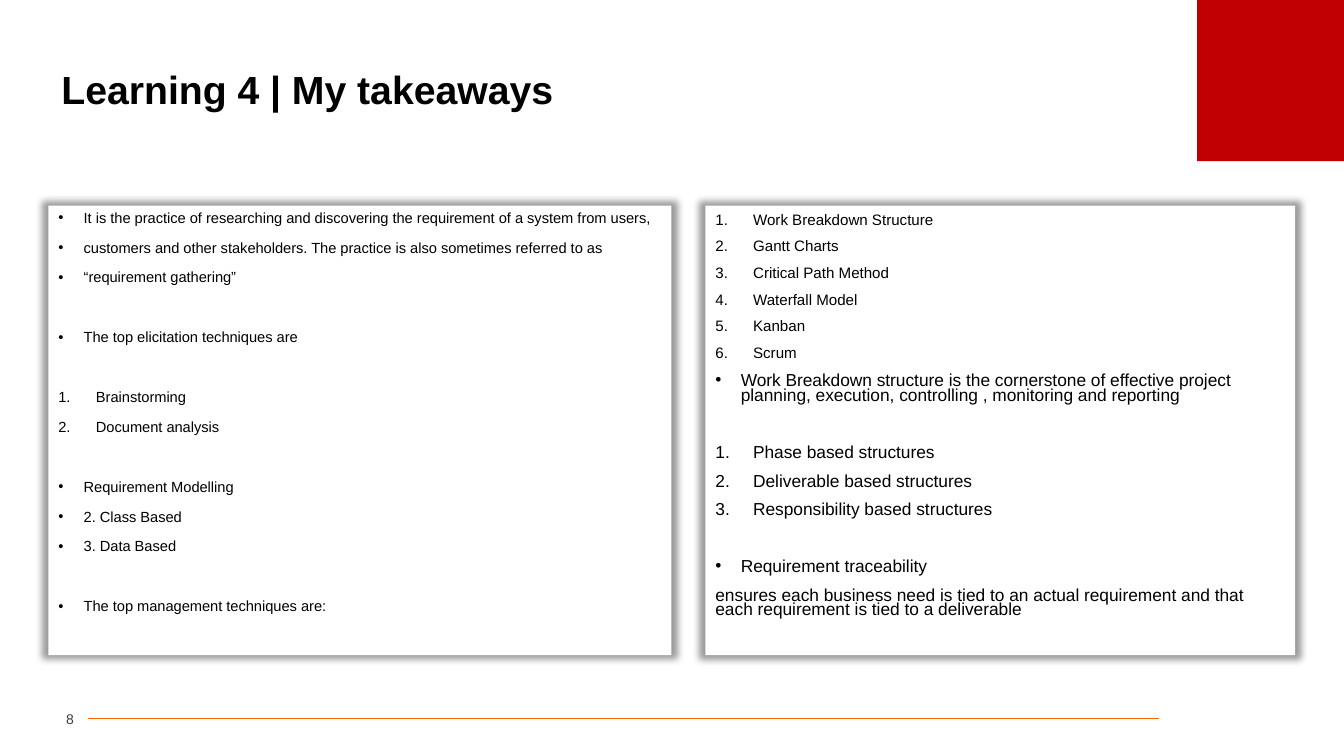
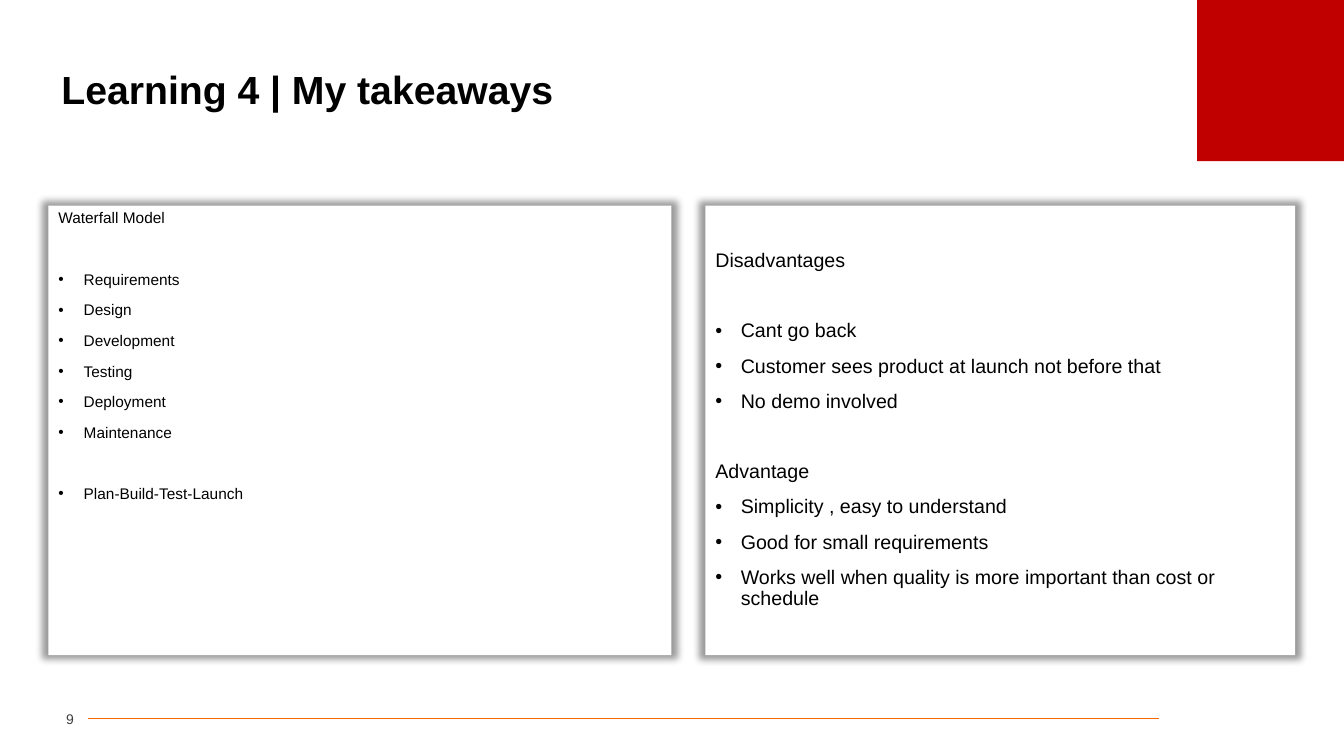
from lxml.etree import SubElement
from pptx import Presentation
from pptx.dml.color import RGBColor as Rgb
from pptx.enum.shapes import MSO_CONNECTOR as Link, MSO_SHAPE as Shape
from pptx.enum.text import MSO_ANCHOR as Anchor, PP_ALIGN as Align
from pptx.oxml.ns import qn
from pptx.util import Cm, Pt

COLORS = {"text": "000000", "page": "404040", "panel": "FFFFFF",
          "square": "C00000", "rule": "FF6600", "shadow": "000000"}
FONT = "Arial"
TITLE = "Learning 4 | My takeaways"
SPACE = 10  # points before each paragraph
LEAD = 1.2  # line height relative to font size
INDENTS = {"dot": 0.64, "num": 0.95}
LEFT, RIGHT = (1.22, 15.7), (17.78, 14.86)  # panel left and width

# Each block: kind of list, font size, gap above, lines
ELICIT = [
    ("dot", 10.5, False, [
        "It is the practice of researching and discovering the requirement of a system from users,",
        "customers and other stakeholders. The practice is also sometimes referred to as",
        "“requirement gathering”"]),
    ("dot", 10.5, True, ["The top elicitation techniques are"]),
    ("num", 10.5, True, ["Brainstorming", "Document analysis"]),
    ("dot", 10.5, True, ["Requirement Modelling", "2. Class Based", "3. Data Based"]),
    ("dot", 10.5, True, ["The top management techniques are:"]),
]
MANAGE = [
    ("num", 10.8, False, ["Work Breakdown Structure", "Gantt Charts", "Critical Path Method",
                          "Waterfall Model", "Kanban", "Scrum"]),
    ("dot", 12.4, False, [
        "Work Breakdown structure is the cornerstone of effective project planning, "
        "execution, controlling , monitoring and reporting"]),
    ("num", 12.4, True, ["Phase based structures", "Deliverable based structures",
                         "Responsibility based structures"]),
    ("dot", 12.4, True, ["Requirement traceability"]),
    ("plain", 12.4, False, [
        "ensures each business need is tied to an actual requirement and that "
        "each requirement is tied to a deliverable"]),
]
MODEL = [
    ("plain", 11, False, ["Waterfall Model"]),
    ("dot", 11, True, ["Requirements", "Design", "Development", "Testing",
                       "Deployment", "Maintenance"]),
    ("dot", 11, True, ["Plan-Build-Test-Launch"]),
]
MERITS = [
    ("plain", 14, False, ["Disadvantages"]),
    ("dot", 14, True, ["Cant go back", "Customer sees product at launch not before that",
                       "No demo involved"]),
    ("plain", 14, True, ["Advantage"]),
    ("dot", 14, False, ["Simplicity , easy to understand", "Good for small requirements",
                        "Works well when quality is more important than cost or schedule"]),
]


def color(name):
    return Rgb.from_string(COLORS[name])


def style(par, size, tint="text", bold=False):
    font = par.font
    font.name, font.size, font.bold = FONT, Pt(size), bold
    font.color.rgb = color(tint)


def add_box(slide, left, top, width, height, tint):
    box = slide.shapes.add_shape(Shape.RECTANGLE, Cm(left), Cm(top), Cm(width), Cm(height))
    box.shadow.inherit = False
    box.fill.solid()
    box.fill.fore_color.rgb = color(tint)
    box.line.fill.background()
    return box


def add_label(slide, text, left, top, width, height):
    label = slide.shapes.add_textbox(Cm(left), Cm(top), Cm(width), Cm(height))
    frame = label.text_frame
    frame.word_wrap = True
    frame.vertical_anchor = Anchor.MIDDLE
    frame.text = text
    return frame


def add_rule(slide):
    rule = slide.shapes.add_connector(Link.STRAIGHT, Cm(2.22), Cm(18.1), Cm(29.21), Cm(18.1))
    rule.line.color.rgb = color("rule")
    rule.line.width = Pt(0.5)
    SubElement(rule._element.spPr, qn("a:effectLst"))


def add_glow(box):
    """Give the box a soft shadow on all sides."""
    effects = box._element.spPr.find(qn("a:effectLst"))
    glow = SubElement(effects, qn("a:outerShdw"), blurRad=str(Pt(5)), sx="102000",
                      sy="102000", algn="ctr", rotWithShape="0")
    tint = SubElement(glow, qn("a:srgbClr"), val=COLORS["shadow"])
    SubElement(tint, qn("a:alpha"), val="40000")


def add_mark(par, kind):
    """Add the hanging indent and the bullet or number."""
    if kind not in INDENTS:
        return
    props = par._p.get_or_add_pPr()
    indent = Cm(INDENTS[kind])
    props.set("marL", str(indent))
    props.set("indent", str(-indent))
    SubElement(props, qn("a:buFont"), typeface=FONT)
    if kind == "dot":
        SubElement(props, qn("a:buChar"), char="•")
    else:
        SubElement(props, qn("a:buAutoNum"), type="arabicPeriod")


def add_panel(slide, side, blocks, lead=0.9, anchor=Anchor.TOP, foot=0.13):
    left, width = side
    box = add_box(slide, left, 5.18, width, 11.33, "panel")
    add_glow(box)
    frame = box.text_frame
    frame.word_wrap = True
    frame.vertical_anchor = anchor
    frame.margin_bottom = Cm(foot)
    par = frame.paragraphs[0]
    for kind, size, gap, lines in blocks:
        for row, text in enumerate(lines):
            if par.text:
                par = frame.add_paragraph()
            par.text = text
            par.alignment = Align.LEFT
            par.line_spacing = lead
            extra = SPACE + size * LEAD * lead if gap and row == 0 else 0
            par.space_before = Pt(SPACE + extra)
            add_mark(par, kind)
            style(par, size)


def add_slide(deck, page):
    slide = deck.slides.add_slide(deck.slide_layouts[6])
    add_rule(slide)
    add_box(slide, 30.17, 0, 3.7, 4.06, "square")
    title = add_label(slide, TITLE, 1.3, 1.32, 31.27, 1.98).paragraphs[0]
    title.line_spacing = 0.9
    style(title, 28, bold=True)
    frame = add_label(slide, str(page), 0.84, 17.75, 1.02, 0.74)
    frame.margin_left = frame.margin_right = 0
    number = frame.paragraphs[0]
    number.alignment = Align.RIGHT
    style(number, 10, "page")
    return slide


def main():
    deck = Presentation()
    deck.slide_width, deck.slide_height = Cm(33.87), Cm(19.05)
    slide = add_slide(deck, 8)
    add_panel(slide, LEFT, ELICIT)
    add_panel(slide, RIGHT, MANAGE, lead=0.7, anchor=Anchor.MIDDLE, foot=0.8)
    slide = add_slide(deck, 9)
    add_panel(slide, LEFT, MODEL)
    add_panel(slide, RIGHT, MERITS, anchor=Anchor.MIDDLE)
    deck.save("out.pptx")


if __name__ == "__main__":
    main()
